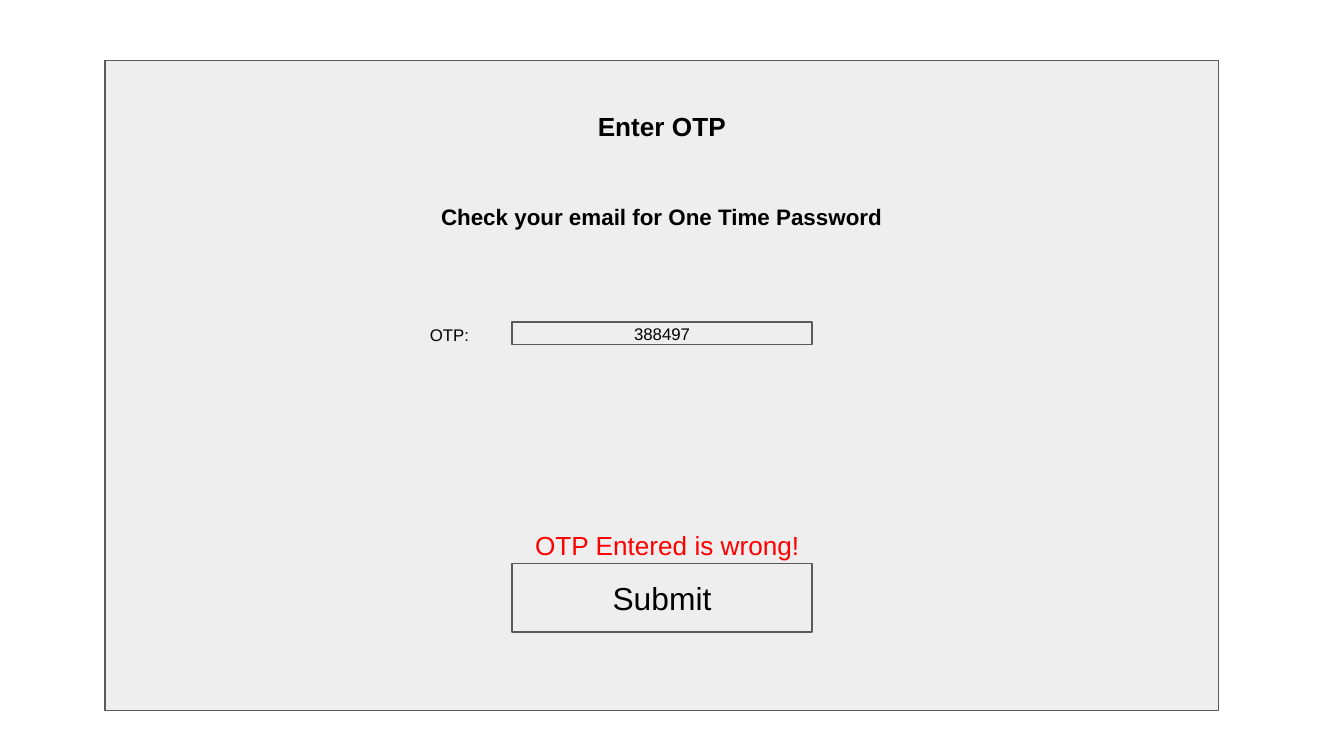
from pptx import Presentation
from pptx.dml.color import RGBColor
from pptx.enum.shapes import MSO_SHAPE
from pptx.enum.text import MSO_ANCHOR, MSO_AUTO_SIZE, PP_ALIGN
from pptx.util import Pt


def color(code):
    return RGBColor.from_string(code)


class Form:
    font = "Arial"
    ink = "000000"
    fill = "EEEEEE"
    edge = "595959"
    alert = "FF0000"
    inset = 7.2

    def __init__(self, slide):
        self.slide = slide

    def set_text(self, shape, text, size, bold=False, ink=ink,
                 align=PP_ALIGN.CENTER, anchor=MSO_ANCHOR.TOP):
        frame = shape.text_frame
        frame.word_wrap = True
        frame.auto_size = MSO_AUTO_SIZE.NONE
        frame.vertical_anchor = anchor
        frame.margin_left = frame.margin_right = Pt(self.inset)
        frame.margin_top = frame.margin_bottom = Pt(self.inset)
        frame.text = text
        para = frame.paragraphs[0]
        para.alignment = align
        para.font.name = self.font
        para.font.size = Pt(size)
        para.font.bold = bold
        para.font.color.rgb = color(ink)
        return frame

    def title(self, text, x, y, w, h, size):
        shape = self.slide.shapes.title
        shape.left, shape.top = Pt(x), Pt(y)
        shape.width, shape.height = Pt(w), Pt(h)
        self.set_text(shape, text, size, bold=True)
        # Bring the title in front of the panel
        self.slide.shapes._spTree.append(shape._element)

    def box(self, x, y, w, h, text=None, size=None):
        shape = self.slide.shapes.add_shape(
            MSO_SHAPE.RECTANGLE, Pt(x), Pt(y), Pt(w), Pt(h))
        shape.shadow.inherit = False
        shape.fill.solid()
        shape.fill.fore_color.rgb = color(self.fill)
        shape.line.color.rgb = color(self.edge)
        shape.line.width = Pt(0.75)
        if text:
            self.set_text(shape, text, size, anchor=MSO_ANCHOR.MIDDLE)

    def label(self, text, x, y, w, h, size, **style):
        shape = self.slide.shapes.add_textbox(Pt(x), Pt(y), Pt(w), Pt(h))
        return self.set_text(shape, text, size, **style)


def main():
    deck = Presentation()
    deck.slide_width, deck.slide_height = Pt(720), Pt(405)
    form = Form(deck.slides.add_slide(deck.slide_layouts[5]))
    left, wide = 274.4, 160.6  # shared by the field and the button

    # Panel and headings
    form.box(56.3, 32.5, 596.7, 348.2)
    form.title("Enter OTP", 262.8, 52, 183.6, 54.7, 14)
    form.label("Check your email for One Time Password",
               218, 101.5, 273, 24, 12, bold=True)

    # Password field
    frame = form.label("OTP:", 186.5, 167, 82, 24, 9, align=PP_ALIGN.RIGHT)
    frame.margin_right = Pt(17.2)
    form.box(left, 172.6, wide, 12, "388497", 9)

    # Button and error message
    form.box(left, 301.8, wide, 36.8, "Submit", 17)
    frame = form.label("OTP Entered is wrong!", 193.7, 276.5, 291.6, 32.4,
                       14, ink=form.alert)
    props = frame.paragraphs[0]._p.get_or_add_pPr()
    props.set("indent", str(Pt(36)))

    deck.save("out.pptx")


if __name__ == "__main__":
    main()
